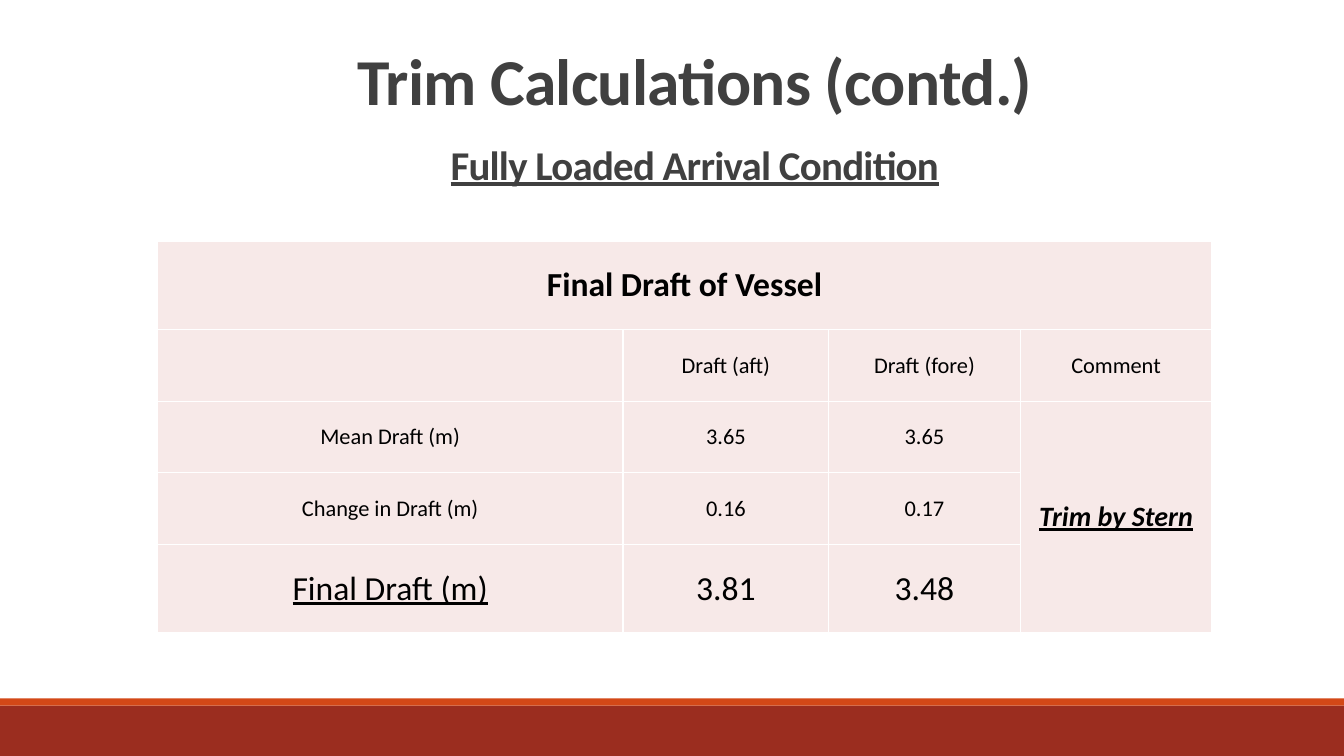
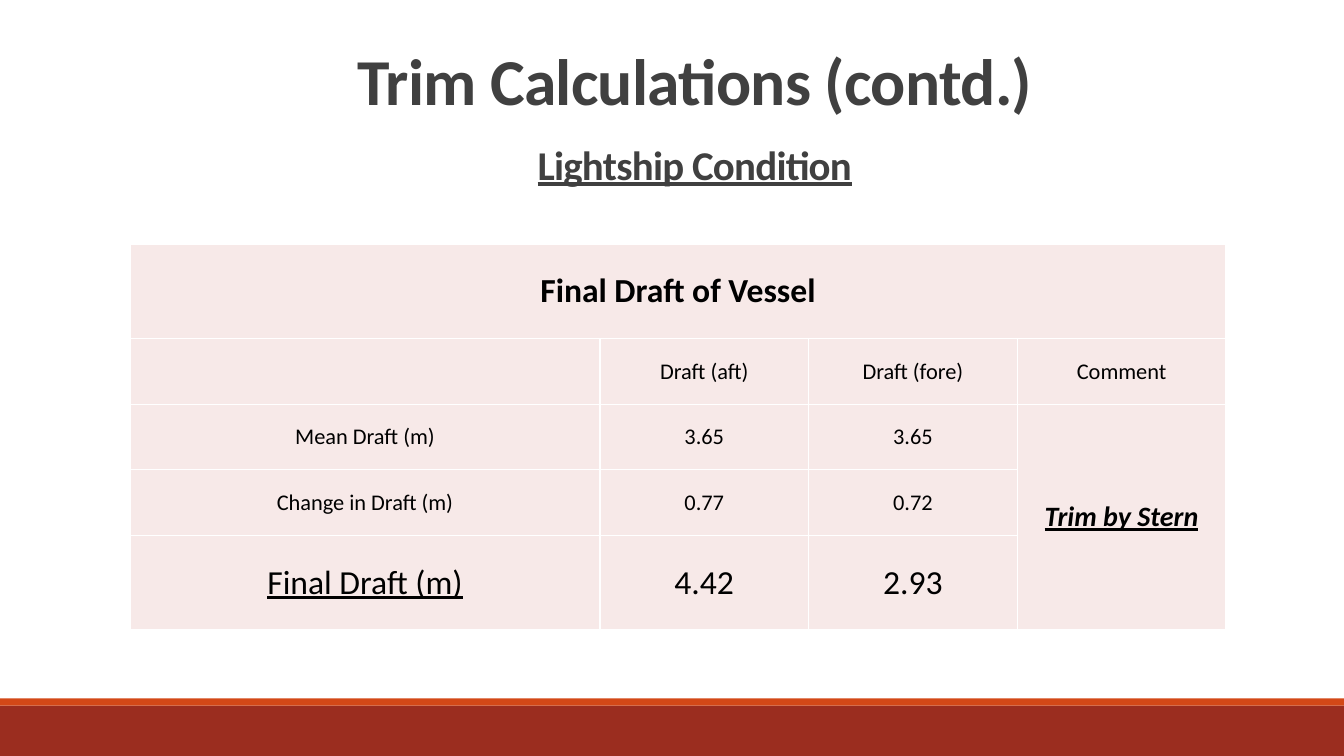
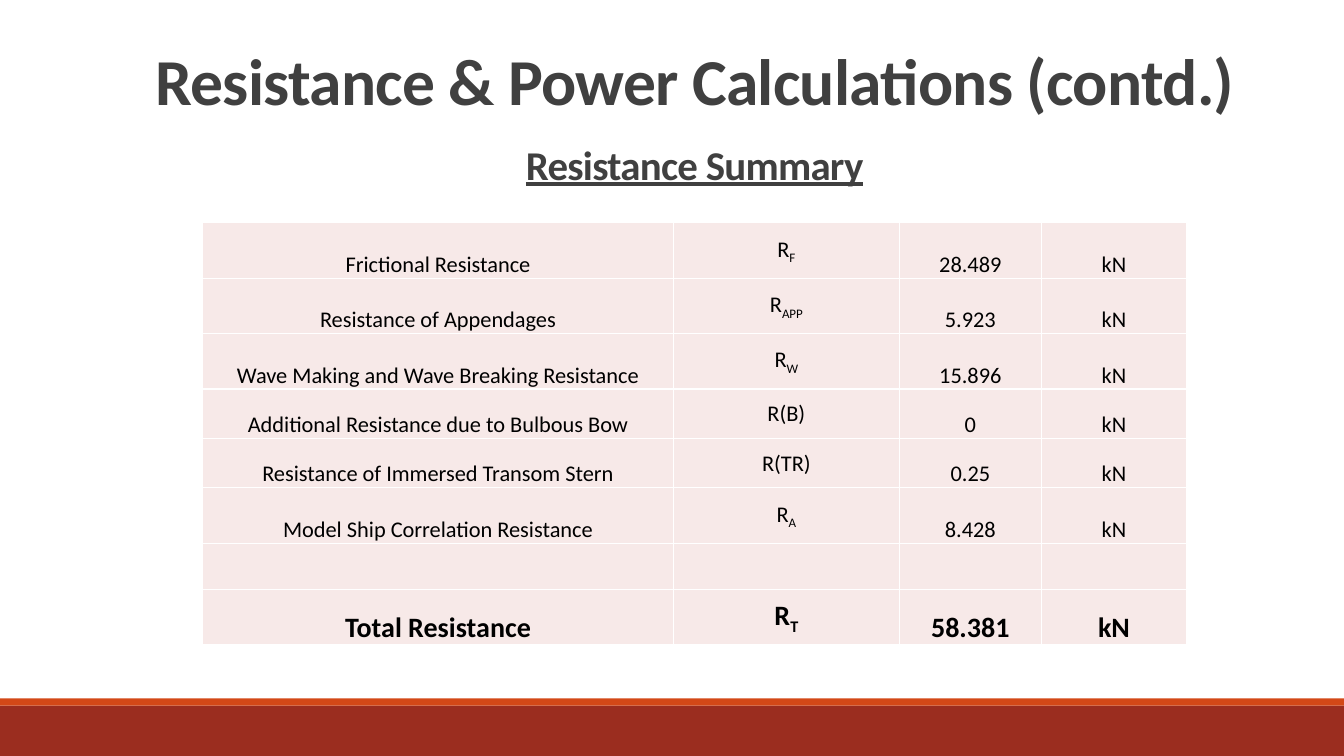
import dataclasses

import lxml.etree
import pptx
import pptx.dml.color
import pptx.enum.shapes
import pptx.enum.text
import pptx.oxml.ns
import pptx.util

Inches = pptx.util.Inches
Pt = pptx.util.Pt
Anchor = pptx.enum.text.MSO_ANCHOR

FONT = "Calibri"
HEADING_COLOR = "404040"
TEXT_COLOR = "000000"
CELL_COLOR = "F7E9E8"
BORDER_COLOR = "FFFFFF"
SLIDE_WIDTH = 13.33


@dataclasses.dataclass(frozen=True)
class Band:
    top: float
    height: float
    color: str


@dataclasses.dataclass(frozen=True)
class Heading:
    top: float
    size: float
    underline: bool


@dataclasses.dataclass(frozen=True)
class CellText:
    text: str = ""
    size: float = 16
    bold: bool = False
    italic: bool = False
    underline: bool = False
    subscript: str = ""
    anchor: Anchor = Anchor.MIDDLE


@dataclasses.dataclass(frozen=True)
class TableLayout:
    left: float
    top: float
    columns: tuple[float, ...]
    rows: tuple[float, ...]
    side_margin: float = 0
    top_margin: float = 0
    merges: tuple[tuple[int, int, int, int], ...] = ()


BANDS = (Band(7, 0.5, "9B2D1F"), Band(6.93, 0.07, "D34817"))
TITLE = Heading(0.47, 46.8, False)
SUBTITLE = Heading(1.41, 29.2, True)
DRAFT_MERGES = ((0, 0, 0, 3), (2, 3, 4, 3))
ARRIVAL_LAYOUT = TableLayout(
    1.56, 2.39, (4.62, 2.04, 1.9, 1.9), (0.88, 0.71, 0.71, 0.71, 0.88), merges=DRAFT_MERGES
)
LIGHTSHIP_LAYOUT = TableLayout(
    1.29, 2.42, (4.66, 2.07, 2.07, 2.07), (0.94, 0.65, 0.65, 0.65, 0.94), merges=DRAFT_MERGES
)
RESISTANCE_LAYOUT = TableLayout(
    2.01,
    2.21,
    (4.67, 2.24, 1.41, 1.44),
    (0.55, 0.55, 0.55, 0.49, 0.49, 0.55, 0.46, 0.55),
    side_margin=0.01,
    top_margin=0.01,
)
RESISTANCES = (
    ("Frictional Resistance", "R", "F", "28.489"),
    ("Resistance of Appendages", "R", "APP", "5.923"),
    ("Wave Making and Wave Breaking Resistance", "R", "W", "15.896"),
    ("Additional Resistance due to Bulbous Bow", "R(B)", "", "0"),
    ("Resistance of Immersed Transom Stern", "R(TR)", "", "0.25"),
    ("Model Ship Correlation Resistance", "R", "A", "8.428"),
)


def rgb(color: str) -> pptx.dml.color.RGBColor:
    return pptx.dml.color.RGBColor.from_string(color)


def style_paragraph(paragraph, size: float, color: str, bold: bool, italic: bool, underline: bool) -> None:
    paragraph.alignment = pptx.enum.text.PP_ALIGN.CENTER
    font = paragraph.font
    font.name = FONT
    font.size = Pt(size)
    font.bold = bold
    font.italic = italic
    font.underline = underline
    font.color.rgb = rgb(color)


def add_band(slide, band: Band) -> None:
    shape = slide.shapes.add_shape(
        pptx.enum.shapes.MSO_SHAPE.RECTANGLE,
        0,
        Inches(band.top),
        Inches(SLIDE_WIDTH),
        Inches(band.height),
    )
    shape.shadow.inherit = False
    shape.fill.solid()
    shape.fill.fore_color.rgb = rgb(band.color)
    shape.line.fill.background()


def add_heading(slide, heading: Heading, text: str) -> None:
    box = slide.shapes.add_textbox(Inches(1.39), Inches(heading.top), Inches(11), Inches(1.59))
    box.text_frame.word_wrap = True
    paragraph = box.text_frame.paragraphs[0]
    paragraph.line_spacing = 0.85
    run = paragraph.add_run()
    run.text = text
    run._r.get_or_add_rPr().set("spc", "-50")
    style_paragraph(paragraph, heading.size, HEADING_COLOR, True, False, heading.underline)


def add_borders(cell) -> None:
    properties = cell._tc.get_or_add_tcPr()
    qn = pptx.oxml.ns.qn
    for side in ("lnL", "lnR", "lnT", "lnB"):
        line = lxml.etree.SubElement(properties, qn(f"a:{side}"), w=str(Pt(1)))
        fill = lxml.etree.SubElement(line, qn("a:solidFill"))
        lxml.etree.SubElement(fill, qn("a:srgbClr"), val=BORDER_COLOR)


def fill_cell(cell, content: CellText) -> None:
    cell.vertical_anchor = content.anchor
    paragraph = cell.text_frame.paragraphs[0]
    if content.text:
        paragraph.add_run().text = content.text
    if content.subscript:
        run = paragraph.add_run()
        run.text = content.subscript
        run._r.get_or_add_rPr().set("baseline", "-25000")
    style_paragraph(
        paragraph, content.size, TEXT_COLOR, content.bold, content.italic, content.underline
    )


def add_table(slide, layout: TableLayout, rows: list[list[CellText]]) -> None:
    table = slide.shapes.add_table(
        len(layout.rows),
        len(layout.columns),
        Inches(layout.left),
        Inches(layout.top),
        Inches(sum(layout.columns)),
        Inches(sum(layout.rows)),
    ).table
    table.first_row = False
    table.horz_banding = False
    for column, width in zip(table.columns, layout.columns):
        column.width = Inches(width)
    for row, height in zip(table.rows, layout.rows):
        row.height = Inches(height)
    for cell in table.iter_cells():
        add_borders(cell)
        cell.fill.solid()
        cell.fill.fore_color.rgb = rgb(CELL_COLOR)
        cell.margin_left = cell.margin_right = Inches(layout.side_margin)
        cell.margin_top = Inches(layout.top_margin)
        cell.margin_bottom = 0
    for top, left, bottom, right in layout.merges:
        table.cell(top, left).merge(table.cell(bottom, right))
    for row_index, contents in enumerate(rows):
        for column_index, content in enumerate(contents):
            fill_cell(table.cell(row_index, column_index), content)


def draft_rows(changes: tuple[str, str], finals: tuple[str, str]) -> list[list[CellText]]:
    comment = CellText("Trim by Stern", 20, bold=True, italic=True, underline=True)
    return [
        [CellText("Final Draft of Vessel", 24, bold=True)],
        [CellText(text) for text in ("", "Draft (aft)", "Draft (fore)", "Comment")],
        [CellText(text) for text in ("Mean Draft (m)", "3.65", "3.65")] + [comment],
        [CellText(text) for text in ("Change in Draft (m)", *changes)],
        [CellText("Final Draft (m)", 24, underline=True)] + [CellText(text, 24) for text in finals],
    ]


def resistance_row(
    label: str, symbol: str, subscript: str, value: str, size: float = 16, bold: bool = False
) -> list[CellText]:
    name, amount, unit = (
        CellText(text, size, bold, anchor=Anchor.BOTTOM) for text in (label, value, "kN")
    )
    return [name, CellText(symbol, size, bold, subscript=subscript), amount, unit]


def resistance_rows() -> list[list[CellText]]:
    return [
        *(resistance_row(*resistance) for resistance in RESISTANCES),
        [CellText()] * 4,
        resistance_row("Total Resistance", "R", "T", "58.381", size=20, bold=True),
    ]


def add_table_slide(
    presentation, title: str, subtitle: str, layout: TableLayout, rows: list[list[CellText]]
) -> None:
    slide = presentation.slides.add_slide(presentation.slide_layouts[6])
    for band in BANDS:
        add_band(slide, band)
    add_heading(slide, TITLE, title)
    add_heading(slide, SUBTITLE, subtitle)
    add_table(slide, layout, rows)


def main() -> None:
    presentation = pptx.Presentation()
    presentation.slide_width = Inches(SLIDE_WIDTH)
    presentation.slide_height = Inches(7.5)
    trim_title = "Trim Calculations (contd.)"
    add_table_slide(
        presentation,
        trim_title,
        "Fully Loaded Arrival Condition",
        ARRIVAL_LAYOUT,
        draft_rows(("0.16", "0.17"), ("3.81", "3.48")),
    )
    add_table_slide(
        presentation,
        trim_title,
        "Lightship Condition",
        LIGHTSHIP_LAYOUT,
        draft_rows(("0.77", "0.72"), ("4.42", "2.93")),
    )
    add_table_slide(
        presentation,
        "Resistance & Power Calculations (contd.)",
        "Resistance Summary",
        RESISTANCE_LAYOUT,
        resistance_rows(),
    )
    presentation.save("out.pptx")


if __name__ == "__main__":
    main()
